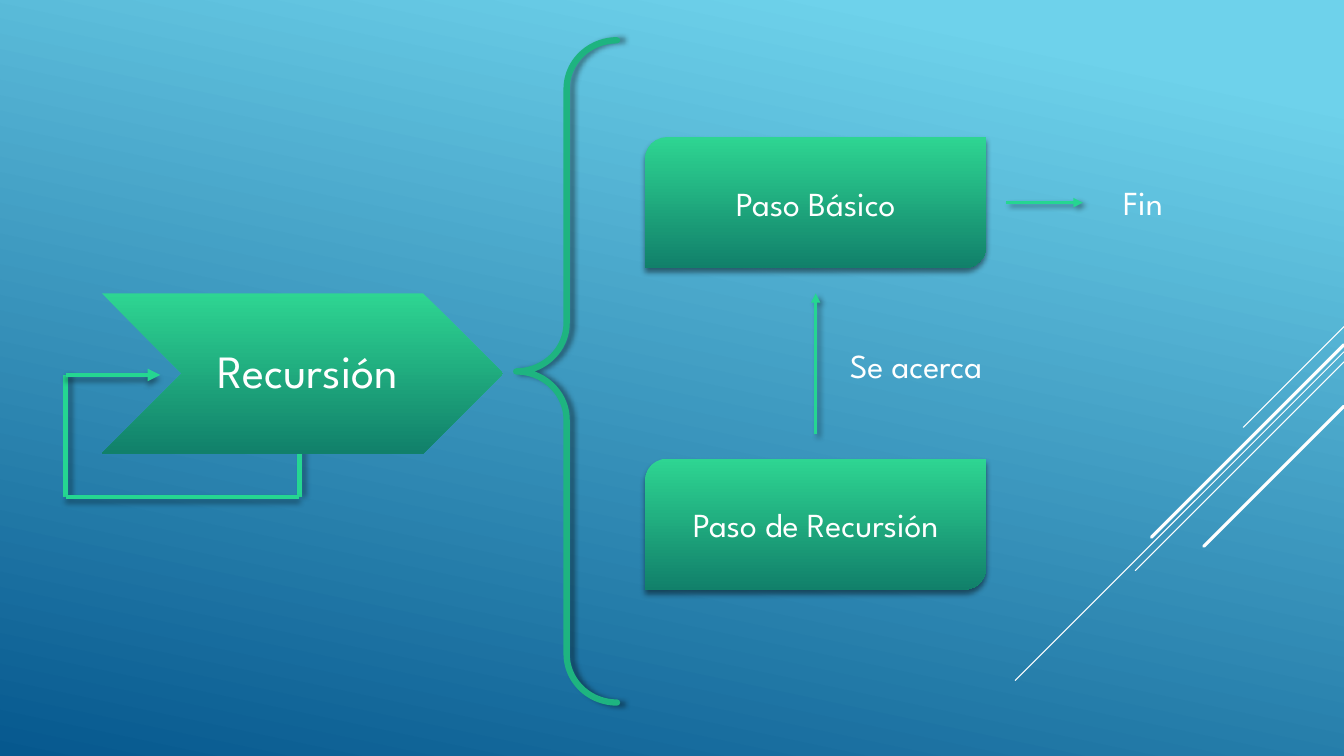
from lxml.etree import SubElement
from pptx import Presentation
from pptx.dml.color import RGBColor
from pptx.enum.shapes import MSO_CONNECTOR, MSO_SHAPE
from pptx.enum.text import MSO_ANCHOR, MSO_AUTO_SIZE, PP_ALIGN
from pptx.oxml.ns import qn
from pptx.util import Inches, Pt

FONT = "League Spartan"
WHITE, GREEN, BRACE_GREEN = "FFFFFF", "25D691", "1EB480"
BACKGROUND = [(0.10, "6ED2EB"), (1, "06588E")]
BOX_GRADIENT = [(0, "2ED592"), (1, "11806A")]

DIAGONALS = [
    (3.24, 1.00, 0.75),
    (3.49, 3.26, 0.75),
    (3.59, 2.07, 0.75),
    (3.42, 1.91, 2.25),
    (4.03, 1.39, 2.25),
]
LOOP_LEFT, LOOP_RIGHT, LOOP_TOP, LOOP_BOTTOM = 0.65, 2.97, 3.72, 4.93
LOOP = [
    ((LOOP_LEFT, LOOP_TOP), (LOOP_LEFT, LOOP_BOTTOM), False, 0),
    ((LOOP_LEFT, LOOP_TOP), (1.59, LOOP_TOP), True, 90),
    ((LOOP_RIGHT, 4.31), (LOOP_RIGHT, LOOP_BOTTOM), False, 0),
    ((LOOP_LEFT, LOOP_BOTTOM), (LOOP_RIGHT, LOOP_BOTTOM), False, 90),
]
STEP_ARROWS = [((9.98, 2.01), (10.74, 2.01)), ((8.09, 4.31), (8.09, 2.91))]
STEPS = [("Paso Básico", 1.36), ("Paso de Recursión", 4.55)]
LABELS = [("Se acerca", 8.33, 3.37), ("Fin", 11.04, 1.76)]


def color(code):
    return RGBColor.from_string(code)


def paint_gradient(fill, stops, angle):
    fill.gradient()
    fill.gradient_angle = 360 - angle
    for stop, (position, code) in zip(fill.gradient_stops, stops):
        stop.position = position
        stop.color.rgb = color(code)


def add_effects(shape, opacity=0, direction=0):
    effects = SubElement(shape._element.spPr, qn("a:effectLst"))
    if opacity:
        shadow = SubElement(
            effects, qn("a:outerShdw"), blurRad=str(Pt(4)), dist=str(Pt(3)),
            dir=str(direction * 60000), algn="ctr", rotWithShape="0")
        black = SubElement(shadow, qn("a:srgbClr"), val="000000")
        SubElement(black, qn("a:alpha"), val=str(opacity * 1000))


def style_line(line, code, width):
    line.color.rgb = color(code)
    line.width = Pt(width)


def add_line(slide, start, end, code, width, arrow=False, opacity=0, direction=0):
    connector = slide.shapes.add_connector(
        MSO_CONNECTOR.STRAIGHT, *[Inches(value) for value in start + end])
    style_line(connector.line, code, width)
    if arrow:
        SubElement(connector.line._ln, qn("a:tailEnd"), type="triangle")
    add_effects(connector, opacity, direction)
    return connector


def add_preset(slide, kind, *box):
    return slide.shapes.add_shape(kind, *[Inches(value) for value in box])


def add_gradient_shape(slide, kind, *box):
    shape = add_preset(slide, kind, *box)
    paint_gradient(shape.fill, BOX_GRADIENT, 90)
    shape.line.fill.background()
    return shape


def write(shape, text, size, alignment, anchor):
    frame = shape.text_frame
    frame.word_wrap = True
    frame.vertical_anchor = anchor
    paragraph = frame.paragraphs[0]
    paragraph.alignment = alignment
    run = paragraph.add_run()
    run.text = text
    run.font.name = FONT
    run.font.size = Pt(size)
    run.font.color.rgb = color(WHITE)
    return frame


def add_text(slide, box, text, size, alignment, anchor):
    textbox = slide.shapes.add_textbox(*[Inches(value) for value in box])
    return write(textbox, text, size, alignment, anchor)


def main():
    presentation = Presentation()
    presentation.slide_width = Inches(13.33)
    presentation.slide_height = Inches(7.5)
    slide = presentation.slides.add_slide(presentation.slide_layouts[6])
    paint_gradient(slide.background.fill, BACKGROUND, 102)

    for top, reach, width in DIAGONALS:
        diagonal = add_line(slide, (13.33, top), (13.33 - reach, top + reach), WHITE, width)
        diagonal.line._ln.set("cap", "rnd")

    for start, end, arrow, direction in LOOP:
        add_line(slide, start, end, GREEN, 3, arrow, 40, direction)

    brace = add_preset(slide, MSO_SHAPE.LEFT_BRACE, 5.12, 0.4, 1, 6.57)
    brace.adjustments[0] = 0.482
    brace.fill.background()
    style_line(brace.line, BRACE_GREEN, 4.5)
    brace.line._ln.set("cap", "rnd")
    add_effects(brace, 40, 0)

    for text, top in STEPS:
        step = add_gradient_shape(
            slide, MSO_SHAPE.ROUND_2_DIAG_RECTANGLE, 6.4, top, 3.38, 1.3)
        add_effects(step, 46, 90)
        write(step, text, 24, PP_ALIGN.CENTER, MSO_ANCHOR.MIDDLE)

    for start, end in STEP_ARROWS:
        add_line(slide, start, end, GREEN, 2.25, True, 40, 45)

    chevron = add_gradient_shape(slide, MSO_SHAPE.CHEVRON, 1.01, 2.91, 3.98, 1.59)
    add_effects(chevron)
    title = add_text(slide, (1.81, 2.91, 2.39, 1.59), "Recursión", 33,
                     PP_ALIGN.CENTER, MSO_ANCHOR.MIDDLE)
    title.margin_left = Inches(0.14)
    title.margin_right = Inches(0.05)
    title.paragraphs[0].line_spacing = 0.9

    for text, left, top in LABELS:
        label = add_text(slide, (left, top, 1.93, 0.5), text, 24,
                         PP_ALIGN.LEFT, MSO_ANCHOR.TOP)
        label.auto_size = MSO_AUTO_SIZE.SHAPE_TO_FIT_TEXT

    presentation.save("out.pptx")


if __name__ == "__main__":
    main()
